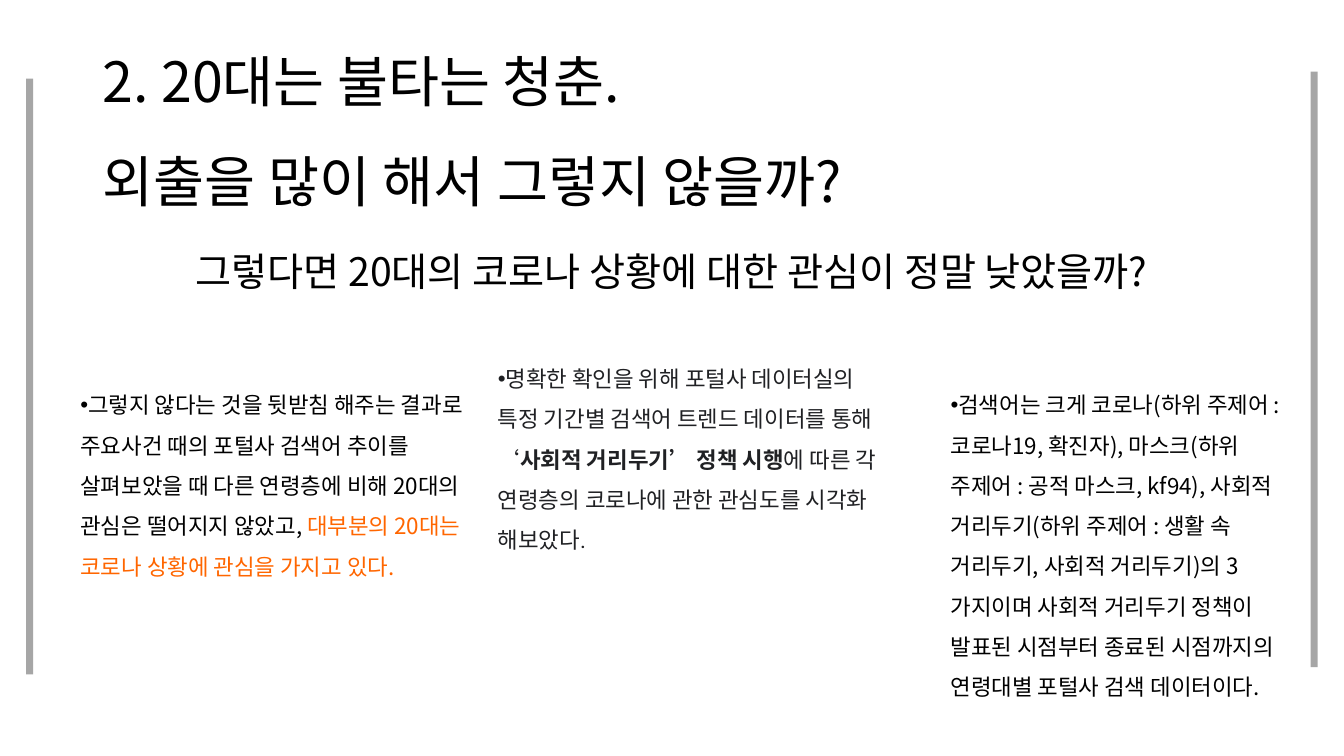
"""Build a slide with a title, a question and three bulleted columns."""
from dataclasses import dataclass

from lxml import etree
from pptx import Presentation
from pptx.dml.color import RGBColor
from pptx.enum.shapes import MSO_SHAPE
from pptx.enum.text import MSO_ANCHOR, PP_ALIGN
from pptx.oxml.ns import qn
from pptx.util import Inches, Pt

RECT = MSO_SHAPE.RECTANGLE
MIDDLE = MSO_ANCHOR.MIDDLE
LEFT, RIGHT = PP_ALIGN.LEFT, PP_ALIGN.RIGHT
NOTO, ROBOTO = "Noto Sans CJK KR", "Roboto"
BLACK, DARK, ORANGE, GRAY = "000000", "202124", "FF6600", "A6A6A6"


@dataclass
class Box:
    """A place on the slide, in inches."""
    left: float
    top: float
    width: float
    height: float

    def place(self) -> tuple:
        """Give the four lengths."""
        return tuple(map(Inches, (self.left, self.top, self.width, self.height)))


@dataclass
class Run:
    """A piece of text with one look."""
    text: str
    color: str = BLACK
    font: str = NOTO
    bold: bool = False


@dataclass
class Column:
    """A bulleted block of runs."""
    box: Box
    runs: list[Run]
    foot: float = 0.05


BARS = [Box(0.26, 0.78, 0.07, 5.91), Box(13, 0.71, 0.07, 5.91)]

COLUMNS = [
    Column(Box(9.33, 3.54, 3.69, 3.86), [
        Run("검색어는 크게 코로나(하위 주제어 : 코로나19, 확진자), "
            "마스크(하위 주제어 : 공적 마스크, kf94), "
            "사회적 거리두기(하위 주제어 : 생활 속 거리두기, 사회적 거리두기)의 "
            "3가지이며 사회적 거리두기 정책이 발표된 시점부터 종료된 시점까지의 "
            "연령대별 포털사 검색 데이터이다."),
    ], foot=0.29),
    Column(Box(0.7, 2.49, 4.14, 4.52), [
        Run("그렇지 않다는 것을 뒷받침 해주는 결과로 주요사건 때의 포털사 검색어 "
            "추이를 살펴보았을 때 다른 연령층에 비해 20대의 관심은 떨어지지 않았고, "),
        Run("대부분의 20대는 코로나 상황에 관심을 가지고 있다.", ORANGE),
    ]),
    Column(Box(4.84, 2.56, 4.14, 3.86), [
        Run("명확한 확인을 위해 포털사 데이터실의 특정 기간별 검색어 트렌드 "
            "데이터를 통해 ‘", DARK, ROBOTO),
        Run("사회적 거리두기’ 정책 시행", DARK, ROBOTO, True),
        Run("에 따른 각 연령층의 코로나에 관한 관심도를 시각화 해보았다.",
            DARK, ROBOTO),
    ]),
]


def paint(color: str) -> RGBColor:
    """Turn a hex string into a colour."""
    return RGBColor.from_string(color)


def add_bar(slide, box: Box) -> None:
    """Draw a plain upright bar."""
    bar = slide.shapes.add_shape(RECT, *box.place())
    bar.shadow.inherit = False
    bar.fill.solid()
    bar.fill.fore_color.rgb = paint(GRAY)
    bar.line.fill.background()


def add_text(slide, box: Box, runs: list[Run], *, size: float, lead: float = 1.5,
             after: float = 0, align=LEFT, bullet: bool = False,
             foot: float = 0.05) -> None:
    """Write one paragraph of runs in a box."""
    frame = slide.shapes.add_textbox(*box.place()).text_frame
    frame.word_wrap = True
    frame.vertical_anchor = MIDDLE
    frame.margin_bottom = Inches(foot)
    para = frame.paragraphs[0]
    para.alignment = align
    para.line_spacing = lead
    para.space_after = Pt(after)
    if bullet:
        props = para._p.get_or_add_pPr()
        props.set("marL", "0")
        props.set("indent", str(-Inches(0.25)))
        etree.SubElement(props, qn("a:buFont"), typeface="Arial")
        etree.SubElement(props, qn("a:buChar"), char="•")
    for item in runs:
        for count, line in enumerate(item.text.split("\n")):
            if count:
                para.add_line_break()
            run = para.add_run()
            run.text = line
            font = run.font
            font.size = Pt(size)
            font.bold = item.bold
            font.color.rgb = paint(item.color)
            font.name = item.font
            etree.SubElement(run._r.get_or_add_rPr(), qn("a:ea"), typeface=NOTO)


def main() -> None:
    """Build and save the slide."""
    deck = Presentation()
    deck.slide_width, deck.slide_height = Inches(13.33), Inches(7.5)
    slide = deck.slides.add_slide(deck.slide_layouts[6])
    add_text(slide, Box(0.92, 2.42, 10.56, 0.6),
             [Run("그렇다면 20대의 코로나 상황에 대한 관심이 정말 낮았을까?")],
             size=28, lead=0.9, after=6, align=RIGHT)
    for bar in BARS:
        add_bar(slide, bar)
    add_text(slide, Box(0.92, 0.4, 11.5, 1.45),
             [Run("2. 20대는 불타는 청춘.\n외출을 많이 해서 그렇지 않을까?")],
             size=39.6)
    for col in COLUMNS:
        add_text(slide, col.box, col.runs, size=16, after=6, bullet=True,
                 foot=col.foot)
    deck.save("out.pptx")


if __name__ == "__main__":
    main()
